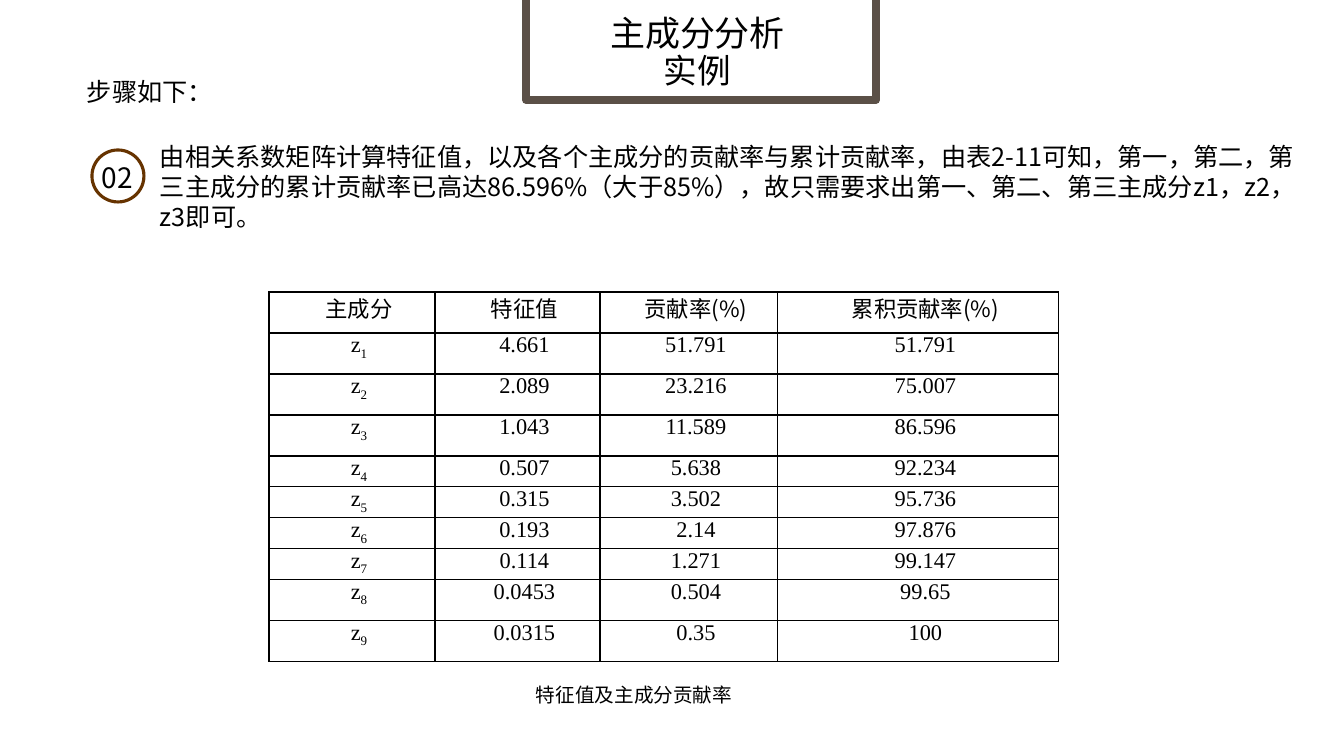
from lxml import etree
from pptx import Presentation
from pptx import util as u
from pptx.dml.color import RGBColor
from pptx.enum import shapes, text
from pptx.oxml import ns

PX = 914400 / 100.8
SANS = "Noto Sans CJK SC"
SERIF = "Times New Roman"
BLACK = RGBColor(0, 0, 0)
WHITE = RGBColor(255, 255, 255)
TAUPE = RGBColor(0x5B, 0x50, 0x47)
BROWN = RGBColor(0x66, 0x33, 0x00)

COLUMN_WIDTHS = [166, 165, 178, 281]
ROW_HEIGHTS = [41, 41, 41, 41, 30, 31, 30, 31, 41, 41]
HEADINGS = [("主成分", ""), ("特征值", ""), ("贡献率", "(%)"), ("累积贡献率", "(%)")]
COMPONENTS = [
    ("4.661", "51.791", "51.791"),
    ("2.089", "23.216", "75.007"),
    ("1.043", "11.589", "86.596"),
    ("0.507", "5.638", "92.234"),
    ("0.315", "3.502", "95.736"),
    ("0.193", "2.14", "97.876"),
    ("0.114", "1.271", "99.147"),
    ("0.0453", "0.504", "99.65"),
    ("0.0315", "0.35", "100"),
]


def px(*lengths):
    return [u.Emu(round(length * PX)) for length in lengths]


def add_run(paragraph, words, size, face=SANS, subscript=False):
    run = paragraph.add_run()
    run.text = words
    run.font.size = u.Pt(size)
    run.font.bold = False
    run.font.color.rgb = BLACK
    run.font.name = face
    properties = run.font._element
    etree.SubElement(properties, ns.qn("a:ea"), typeface=SANS)
    if subscript:
        properties.set("baseline", "-25000")


def add_outline(slide, preset, box, colour, weight):
    outline = slide.shapes.add_shape(preset, *px(*box))
    outline.shadow.inherit = False
    outline.fill.solid()
    outline.fill.fore_color.rgb = WHITE
    outline.line.color.rgb = colour
    outline.line.width = u.Pt(weight)


def add_label(slide, box, words, size, wrap=True):
    frame = slide.shapes.add_textbox(*px(*box)).text_frame
    frame.word_wrap = wrap
    frame.auto_size = text.MSO_AUTO_SIZE.SHAPE_TO_FIT_TEXT
    add_run(frame.paragraphs[0], words, size)


def add_title(slide, box, lines):
    frame = slide.shapes.add_textbox(*px(*box)).text_frame
    frame.word_wrap = True
    frame.vertical_anchor = text.MSO_ANCHOR.MIDDLE
    for index, (words, size) in enumerate(lines):
        paragraph = frame.add_paragraph() if index else frame.paragraphs[0]
        paragraph.alignment = text.PP_ALIGN.CENTER
        paragraph.line_spacing = 0.9
        add_run(paragraph, words, size)


def add_borders(cell):
    properties = cell._tc.get_or_add_tcPr()
    for index, side in enumerate(("lnL", "lnR", "lnT", "lnB")):
        border = etree.Element(ns.qn(f"a:{side}"), w=str(u.Pt(1)))
        fill = etree.SubElement(border, ns.qn("a:solidFill"))
        etree.SubElement(fill, ns.qn("a:srgbClr"), val=str(BLACK))
        properties.insert(index, border)


def prepare_cell(cell):
    cell.fill.background()
    add_borders(cell)
    cell.margin_left, cell.margin_right = px(11, 11)
    cell.margin_top = cell.margin_bottom = 0
    paragraph = cell.text_frame.paragraphs[0]
    paragraph.alignment = text.PP_ALIGN.CENTER
    indent, = px(14)
    paragraph._p.get_or_add_pPr().set("indent", str(indent))
    return paragraph


def add_component_table(slide, left, top):
    box = px(left, top, sum(COLUMN_WIDTHS), sum(ROW_HEIGHTS))
    table = slide.shapes.add_table(len(ROW_HEIGHTS), len(COLUMN_WIDTHS), *box).table
    table.first_row = table.horz_banding = False
    for column, width in zip(table.columns, px(*COLUMN_WIDTHS)):
        column.width = width
    for row, height in zip(table.rows, px(*ROW_HEIGHTS)):
        row.height = height

    for column, (heading, unit) in enumerate(HEADINGS):
        paragraph = prepare_cell(table.cell(0, column))
        add_run(paragraph, heading, 16, SERIF)
        if unit:
            add_run(paragraph, unit, 16)
    for number, figures in enumerate(COMPONENTS, 1):
        symbol = prepare_cell(table.cell(number, 0))
        add_run(symbol, "z", 16, SERIF)
        add_run(symbol, str(number), 16, SERIF, subscript=True)
        for column, figure in enumerate(figures, 1):
            add_run(prepare_cell(table.cell(number, column)), figure, 16, SERIF)


def main():
    deck = Presentation()
    deck.slide_width, deck.slide_height = px(1344, 756)
    slide = deck.slides.add_slide(deck.slide_layouts[6])

    add_outline(slide, shapes.MSO_SHAPE.RECTANGLE, (526, -72, 350, 172), TAUPE, 5.5)
    add_title(slide, (535, 3, 325, 101), [("主成分分析", 25), ("实例", 24)])
    add_outline(slide, shapes.MSO_SHAPE.FLOWCHART_CONNECTOR, (92, 150, 52, 52), BROWN, 2.25)
    add_label(slide, (92, 156, 58, 44), "02", 20)
    add_label(
        slide,
        (150, 136, 1175, 102),
        "由相关系数矩阵计算特征值，以及各个主成分的贡献率与累计贡献率，"
        "由表2-11可知，第一，第二，第三主成分的累计贡献率已高达86.596%"
        "（大于85%），故只需要求出第一、第二、第三主成分z1，z2，z3即可。",
        18,
    )
    add_component_table(slide, 269, 292)
    add_label(slide, (526, 678, 224, 34), "特征值及主成分贡献率", 14, wrap=False)
    add_label(slide, (77, 71, 147, 40), "步骤如下：", 18, wrap=False)
    deck.save("out.pptx")


if __name__ == "__main__":
    main()
